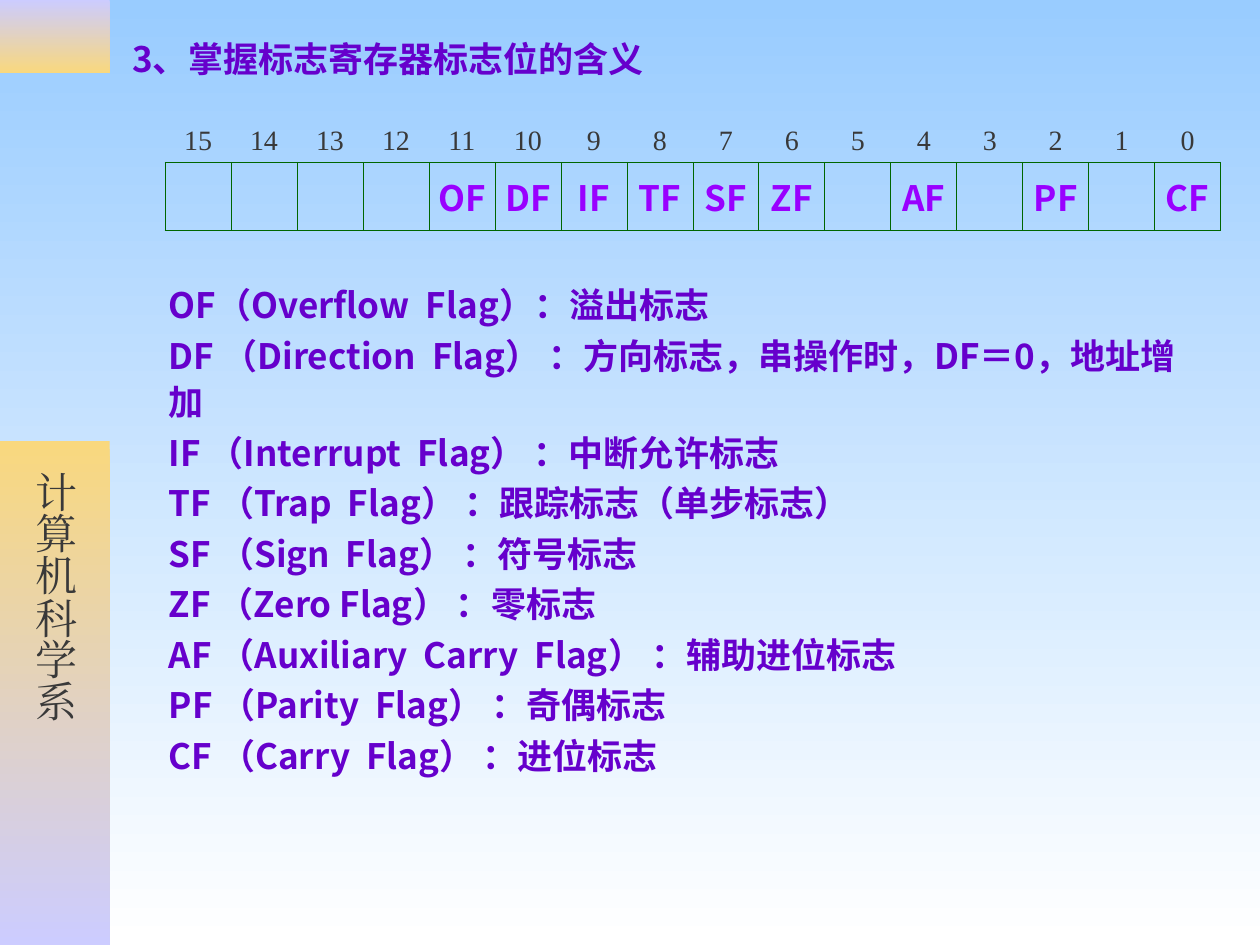
"""Build a slide on the flag register and the meaning of its bits."""
from dataclasses import dataclass

from lxml.etree import SubElement
from pptx import Presentation
from pptx.dml.color import RGBColor
from pptx.enum.shapes import MSO_SHAPE
from pptx.enum.text import MSO_ANCHOR, MSO_AUTO_SIZE, PP_ALIGN
from pptx.oxml import parse_xml
from pptx.oxml.ns import nsdecls, qn
from pptx.util import Inches, Pt


@dataclass(frozen=True)
class Theme:
    sans: str = "Noto Sans CJK SC"
    serif: str = "Times New Roman"
    sky: str = "99CCFF"
    white: str = "FFFFFF"
    lilac: str = "CCCCFF"
    gold: str = "F9D87E"
    ink: str = "393939"
    purple: str = "6600CC"
    violet: str = "9900FF"
    green: str = "006600"
    body: int = 20
    bit: int = 16
    side: int = 24


def set_gradient(fill, top, bottom):
    fill.gradient()
    fill.gradient_angle = 270
    for stop, color in zip(fill.gradient_stops, (top, bottom)):
        stop.color.rgb = RGBColor.from_string(color)


def set_font(p, name, size, color, bold=False):
    p.font.name = name
    p.font.size = Pt(size)
    p.font.bold = bold
    p.font.color.rgb = RGBColor.from_string(color)
    ea = SubElement(p.font._element, qn("a:ea"))
    ea.set("typeface", name)


theme = Theme()
flags = {11: "OF", 10: "DF", 9: "IF", 8: "TF", 7: "SF", 6: "ZF", 4: "AF", 2: "PF", 0: "CF"}
meanings = [
    "OF（Overflow  Flag）：溢出标志",
    "DF （Direction  Flag） ：方向标志，串操作时，DF＝0，地址增加",
    "IF （Interrupt  Flag） ：中断允许标志",
    "TF （Trap  Flag） ：跟踪标志（单步标志）",
    "SF （Sign  Flag） ：符号标志",
    "ZF （Zero Flag） ：零标志",
    "AF （Auxiliary  Carry  Flag） ：辅助进位标志",
    "PF （Parity  Flag） ：奇偶标志",
    "CF （Carry  Flag） ：进位标志",
]

prs = Presentation()
prs.slide_width, prs.slide_height = Inches(10), Inches(7.5)
s = prs.slides.add_slide(prs.slide_layouts[5])
set_gradient(s.background.fill, theme.sky, theme.white)

bands = [(0, 0.58, theme.lilac, theme.gold, ""),
         (3.5, 4, theme.gold, theme.lilac, "计算机科学系")]
for top, height, start, end, label in bands:
    sp = s.shapes.add_shape(MSO_SHAPE.RECTANGLE, 0, Inches(top), Inches(0.87), Inches(height))
    sp.shadow.inherit = False
    sp.line.fill.background()
    set_gradient(sp.fill, start, end)
    if label:
        tf = sp.text_frame
        tf.word_wrap = False
        tf.vertical_anchor = MSO_ANCHOR.MIDDLE
        tf.margin_left = tf.margin_right = Inches(0.05)
        tf.margin_top, tf.margin_bottom = Inches(0.24), Inches(0.1)
        tf._txBody.bodyPr.set("vert", "eaVert")
        p = tf.paragraphs[0]
        p.text = label
        p.alignment = PP_ALIGN.CENTER
        set_font(p, theme.serif, theme.side, theme.ink)

title = s.shapes.title
title.left, title.top = Inches(1.01), Inches(0.26)
title.width, title.height = Inches(4.72), Inches(0.41)
tf = title.text_frame
tf.margin_left = tf.margin_right = tf.margin_top = tf.margin_bottom = Inches(0.04)
tf.vertical_anchor = MSO_ANCHOR.TOP
tf.auto_size = MSO_AUTO_SIZE.NONE
p = tf.paragraphs[0]
p.text = "3、掌握标志寄存器标志位的含义"
p.alignment = PP_ALIGN.LEFT
set_font(p, theme.sans, theme.body, theme.purple, True)

box = s.shapes.add_textbox(Inches(1.26), Inches(2.18), Inches(8.27), Inches(4.02))
tf = box.text_frame
tf.word_wrap = True
tf.margin_left = tf.margin_right = Inches(0.08)
tf.margin_top = tf.margin_bottom = Inches(0.04)
for i, meaning in enumerate(meanings):
    p = tf.add_paragraph() if i else tf.paragraphs[0]
    p.text = meaning
    p.line_spacing = 1.1
    p.space_after = Pt(2.5)
    set_font(p, theme.sans, theme.body, theme.purple, True)

bits = 16
frame = s.shapes.add_table(2, bits, Inches(1.31), Inches(0.7), Inches(8.38), Inches(1.13))
table = frame.table
table.first_row = table.horz_banding = False
table._tbl.tblPr.find(qn("a:tableStyleId")).text = "{2D5ABB26-0587-4C30-8999-92F81FD0307C}"
table.rows[0].height, table.rows[1].height = Inches(0.59), Inches(0.54)
for col in range(bits):
    table.columns[col].width = Inches(8.38 / bits)
    bit = bits - 1 - col
    number, flag = table.cell(0, col), table.cell(1, col)
    for cell, text, anchor in ((number, str(bit), MSO_ANCHOR.BOTTOM),
                               (flag, flags.get(bit, ""), MSO_ANCHOR.MIDDLE)):
        cell.fill.background()
        cell.vertical_anchor = anchor
        cell.margin_left = cell.margin_right = Inches(0.04)
        cell.margin_top = cell.margin_bottom = Inches(0.05)
        p = cell.text_frame.paragraphs[0]
        p.text = text
        p.alignment = PP_ALIGN.CENTER
    set_font(number.text_frame.paragraphs[0], theme.serif, theme.bit, theme.ink)
    set_font(flag.text_frame.paragraphs[0], theme.sans, theme.body, theme.violet, True)
    edges = (("lnL", 0.45), ("lnR", 0.45), ("lnT", 0.75), ("lnB", 0.75))
    for i, (edge, width) in enumerate(edges):
        flag._tc.tcPr.insert(i, parse_xml(
            f'<a:{edge} {nsdecls("a")} w="{Pt(width)}"><a:solidFill>'
            f'<a:srgbClr val="{theme.green}"/></a:solidFill></a:{edge}>'))

prs.save("out.pptx")
